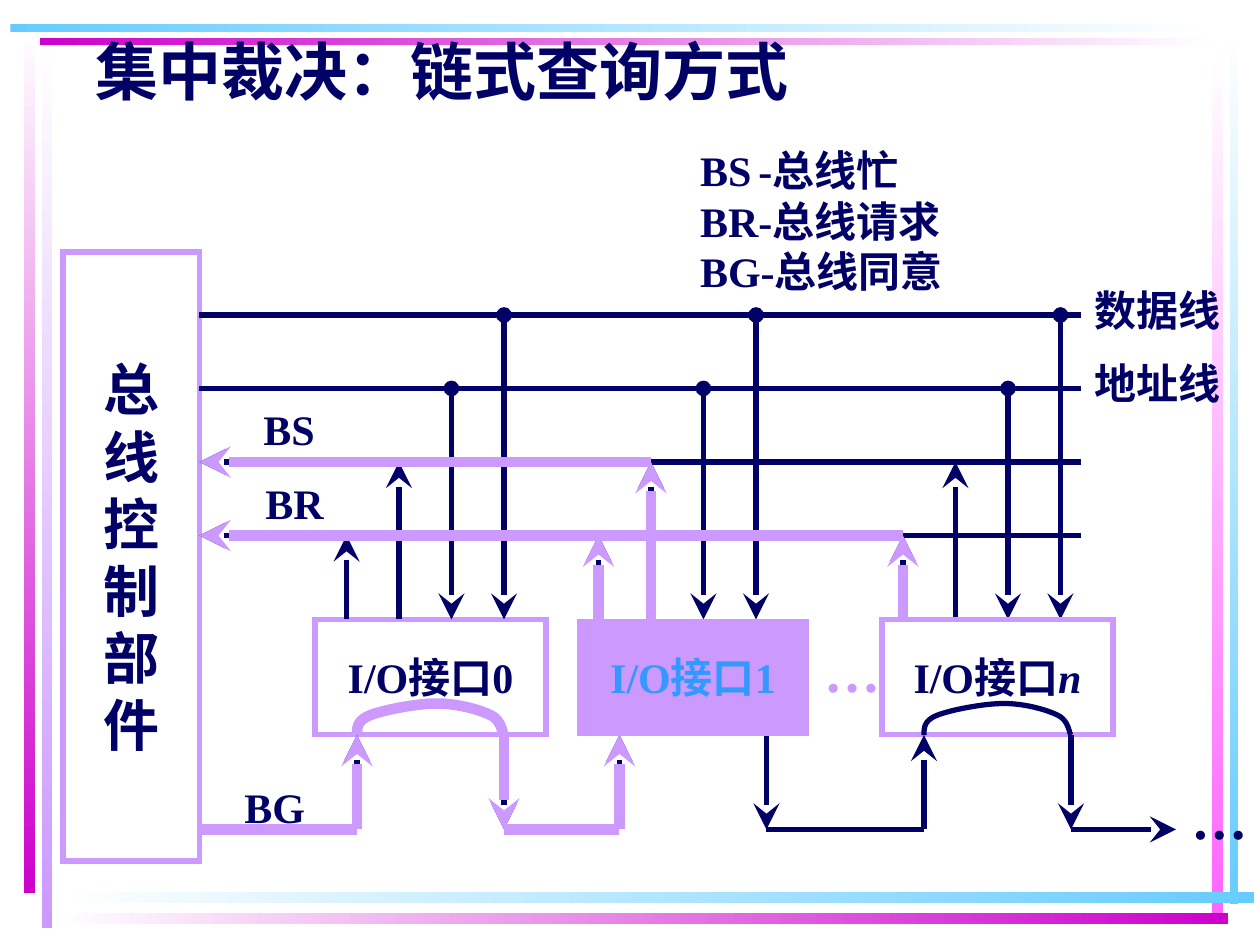
from collections import namedtuple
from dataclasses import dataclass

from lxml import etree
from pptx import Presentation
from pptx.dml.color import RGBColor
from pptx.enum.shapes import MSO_CONNECTOR, MSO_SHAPE
from pptx.enum.text import MSO_ANCHOR, PP_ALIGN
from pptx.oxml.ns import qn
from pptx.util import Pt

PX = 7620  # EMU per px, 120 px to the inch
STRAIGHT, RECT = MSO_CONNECTOR.STRAIGHT, MSO_SHAPE.RECTANGLE
LEFT, CENTER = PP_ALIGN.LEFT, PP_ALIGN.CENTER
TOP, MIDDLE = MSO_ANCHOR.TOP, MSO_ANCHOR.MIDDLE
DOWN, RIGHTWARD = 270, 0  # gradient directions

Bar = namedtuple("Bar", "x y w h start end angle")
Label = namedtuple("Label", "text x y w h size color")
Wire = namedtuple("Wire", "x1 y1 x2 y2 head tail", defaults=("", ""))

@dataclass(frozen=True)
class Theme:
    font: str = "Times New Roman"
    navy: str = "000066"
    lilac: str = "CC99FF"
    blue: str = "3399FF"
    sky: str = "66CCFF"
    magenta: str = "CC00CC"
    pink: str = "FF66FF"
    white: str = "FFFFFF"
    title: int = 36
    large: int = 32
    body: int = 24
    gap: int = 16
    wire: int = 3
    active: int = 6

T = Theme()

# Levels of the bus lines, the interfaces and the grant chain
CONTROL_EDGE, BUS_END = 190, 1030
DATA, ADDRESS, BUSY, REQUEST = 300, 370, 440, 510
BOX_TOP, BOX_BOTTOM, GRANT = 590, 700, 790
BOX_W, TAP_STEP, ARC_W = 220, 50, 140
INTERFACE_X = (300, 550, 840)
REQUEST_X = (330, 570, 860)  # first of four taps on each interface
GRANT_IN = (340, 590, 880)
ARC_CURVES = (
    ((0, 0), (0, -7), (0, -14), (13, -19)),
    ((13, -19), (26, -24), (57, -30), (76, -30)),
    ((76, -30), (96, -30), (117, -24), (127, -19)),
    ((127, -19), (138, -14), (138, -2), (140, 0)),
)
FRAME = [
    Bar(40, 34, 10, 850, T.white, T.lilac, DOWN),
    Bar(23, 30, 10, 821, T.white, T.magenta, DOWN),
    Bar(1171, 29, 8, 832, T.white, T.sky, DOWN),
    Bar(1154, 50, 11, 820, T.white, T.pink, DOWN),
    Bar(54, 850, 1140, 10, T.white, T.sky, RIGHTWARD),
    Bar(54, 870, 1116, 10, T.white, T.magenta, RIGHTWARD),
    Bar(38, 36, 1118, 7, T.magenta, T.white, RIGHTWARD),
    Bar(10, 23, 1147, 8, T.sky, T.white, RIGHTWARD),
]
LABELS = [
    Label("集中裁决：链式查询方式", 79, 25, 700, 84, T.title, T.navy),
    Label("…", 773, 600, 77, 77, T.large, T.lilac),
    Label("…", 1123, 740, 77, 77, T.large, T.navy),
    Label("BS", 239, 378, 90, 60, T.body, T.navy),
    Label("BR", 241, 449, 96, 60, T.body, T.navy),
    Label("BG", 221, 738, 98, 60, T.body, T.navy),
    Label("数据线", 1031, 265, 156, 60, T.body, T.navy),
    Label("地址线", 1031, 335, 156, 60, T.body, T.navy),
]
LEGEND = Label("BS\nBR-总线请求\nBG-总线同意", 655, 132, 300, 156, T.body, T.navy)
CONTROLLER = Label("\n".join("总线控制部件"), 60, 240, 130, 580, T.large, T.navy)
BUS = [Wire(CONTROL_EDGE, y, BUS_END, y, head)
       for y, head in ((DATA, ""), (ADDRESS, ""), (BUSY, "stealth"), (REQUEST, "stealth"))]

def rgb(color: str) -> RGBColor:
    return RGBColor.from_string(color)

def style_text(frame, size: int, color: str, align=LEFT, anchor=TOP) -> None:
    frame.word_wrap = False
    frame.vertical_anchor = anchor
    for paragraph in frame.paragraphs:
        paragraph.alignment = align
        for run in paragraph.runs:
            run.font.name, run.font.size, run.font.bold = T.font, Pt(size), True
            run.font.color.rgb = rgb(color)

def style_line(shape, color: str, width: float, head: str = "", tail: str = "") -> None:
    shape.line.color.rgb = rgb(color)
    shape.line.width = Pt(width)
    outline = shape._element.spPr.find(qn("a:ln"))
    etree.SubElement(outline, qn("a:miter"), lim="800000")
    for tag, kind in (("a:headEnd", head), ("a:tailEnd", tail)):
        if kind:
            size = "lg" if kind == "stealth" and width == T.wire else "med"
            etree.SubElement(outline, qn(tag), type=kind, w=size, len=size)

def draw_rect(slide, x: int, y: int, w: int, h: int):
    rect = slide.shapes.add_shape(RECT, x * PX, y * PX, w * PX, h * PX)
    rect.shadow.inherit = False
    return rect

def draw_bar(slide, bar: Bar) -> None:
    rect = draw_rect(slide, *bar[:4])
    rect.line.fill.background()
    rect.fill.gradient()
    rect.fill.gradient_angle = bar.angle
    for stop, color in zip(rect.fill.gradient_stops, (bar.start, bar.end)):
        stop.color.rgb = rgb(color)

def draw_label(slide, label: Label):
    box = slide.shapes.add_textbox(*(length * PX for length in label[1:5]))
    box.text_frame.text = label.text
    style_text(box.text_frame, label.size, label.color)
    return box.text_frame

def draw_box(slide, label: Label, line_width: float = T.wire, fill: str = ""):
    rect = draw_rect(slide, *label[1:5])
    rect.fill.background()
    if fill:
        rect.fill.solid()
        rect.fill.fore_color.rgb = rgb(fill)
    style_line(rect, T.lilac, line_width)
    rect.text_frame.text = label.text
    style_text(rect.text_frame, label.size, label.color, CENTER, MIDDLE)
    return rect.text_frame

def draw_wires(slide, wires: list[Wire], color: str = T.navy, width: int = T.wire) -> None:
    for wire in wires:
        line = slide.shapes.add_connector(STRAIGHT, *(length * PX for length in wire[:4]))
        style_line(line, color, width, wire.head, wire.tail)
        etree.SubElement(line._element.spPr, qn("a:effectLst"))

def draw_arc(slide, left: int, color: str, width: int, steps: int = 16) -> None:
    points = []
    for curve in ARC_CURVES:
        for t in (i / steps for i in range(1, steps + 1)):
            weights = ((1 - t) ** 3, 3 * t * (1 - t) ** 2, 3 * t * t * (1 - t), t ** 3)
            dx, dy = (sum(w * p[axis] for w, p in zip(weights, curve)) for axis in (0, 1))
            points.append(((left + dx) * PX, (BOX_BOTTOM + dy) * PX))
    builder = slide.shapes.build_freeform(left * PX, BOX_BOTTOM * PX)
    builder.add_line_segments(points, close=False)
    arc = builder.convert_to_shape()
    arc.shadow.inherit = False
    arc.fill.background()
    style_line(arc, color, width)

def taps(first: int) -> list[Wire]:
    """The request, busy, address and data taps of one interface."""
    request, busy, address, data = (first + i * TAP_STEP for i in range(4))
    return [Wire(request, BOX_TOP, request, REQUEST, tail="stealth"),
            Wire(busy, BOX_TOP, busy, BUSY, tail="stealth"),
            Wire(address, ADDRESS, address, BOX_TOP, "oval", "stealth"),
            Wire(data, DATA, data, BOX_TOP, "oval", "stealth")]

def grant_link(start: int, end: int) -> list[Wire]:
    return [Wire(start, GRANT, end, GRANT), Wire(end, GRANT, end, BOX_BOTTOM, tail="stealth")]

def grant_drop(left: int) -> Wire:
    return Wire(left + ARC_W, BOX_BOTTOM, left + ARC_W, GRANT, tail="stealth")

def interface(index: int, suffix: str, color: str = T.navy) -> Label:
    return Label("I/O接口" + suffix, INTERFACE_X[index], BOX_TOP, BOX_W,
                 BOX_BOTTOM - BOX_TOP, T.body, color)

def main() -> None:
    deck = Presentation()
    deck.slide_width, deck.slide_height = 1200 * PX, 900 * PX
    slide = deck.slides.add_slide(deck.slide_layouts[6])
    # Frame, captions and legend
    for bar in FRAME:
        draw_bar(slide, bar)
    for label in LABELS:
        draw_label(slide, label)
    legend = draw_label(slide, LEGEND)
    for part in (" ", "-总线忙"):
        legend.paragraphs[0].add_run().text = part
    style_text(legend, T.body, T.navy)
    legend.paragraphs[0].runs[1].font.size = Pt(T.gap)
    # Controller, interfaces and bus lines
    draw_box(slide, CONTROLLER)
    draw_box(slide, interface(0, "0"))
    draw_wires(slide, BUS + [tap for first in REQUEST_X for tap in taps(first)])
    last = draw_box(slide, interface(2, ""))
    last.paragraphs[0].add_run().text = "n"
    style_text(last, T.body, T.navy, CENTER, MIDDLE)
    last.paragraphs[0].runs[1].font.italic = True
    # Grant chain
    first_in, second_in, last_in = GRANT_IN
    granted = [*grant_link(CONTROL_EDGE, first_in), grant_drop(first_in),
               *grant_link(first_in + ARC_W, second_in)]
    waiting = [grant_drop(second_in), *grant_link(second_in + ARC_W, last_in),
               grant_drop(last_in), Wire(last_in + ARC_W, GRANT, 1120, GRANT, tail="stealth")]
    draw_wires(slide, granted + waiting)
    draw_arc(slide, last_in, T.navy, T.wire)
    # Active path: requests, busy signal and grant up to interface 1
    busy_x = REQUEST_X[1] + TAP_STEP
    active = [Wire(busy_x, BUSY, CONTROL_EDGE, BUSY, tail="stealth"),
              Wire(REQUEST_X[2], REQUEST, CONTROL_EDGE, REQUEST, tail="stealth"),
              *taps(REQUEST_X[1])[:2], taps(REQUEST_X[2])[0], *granted]
    draw_wires(slide, active, T.lilac, T.active)
    draw_arc(slide, first_in, T.lilac, T.active)
    draw_box(slide, interface(1, "1", T.blue), 0.75, T.lilac)
    deck.save("out.pptx")

if __name__ == "__main__":
    main()
